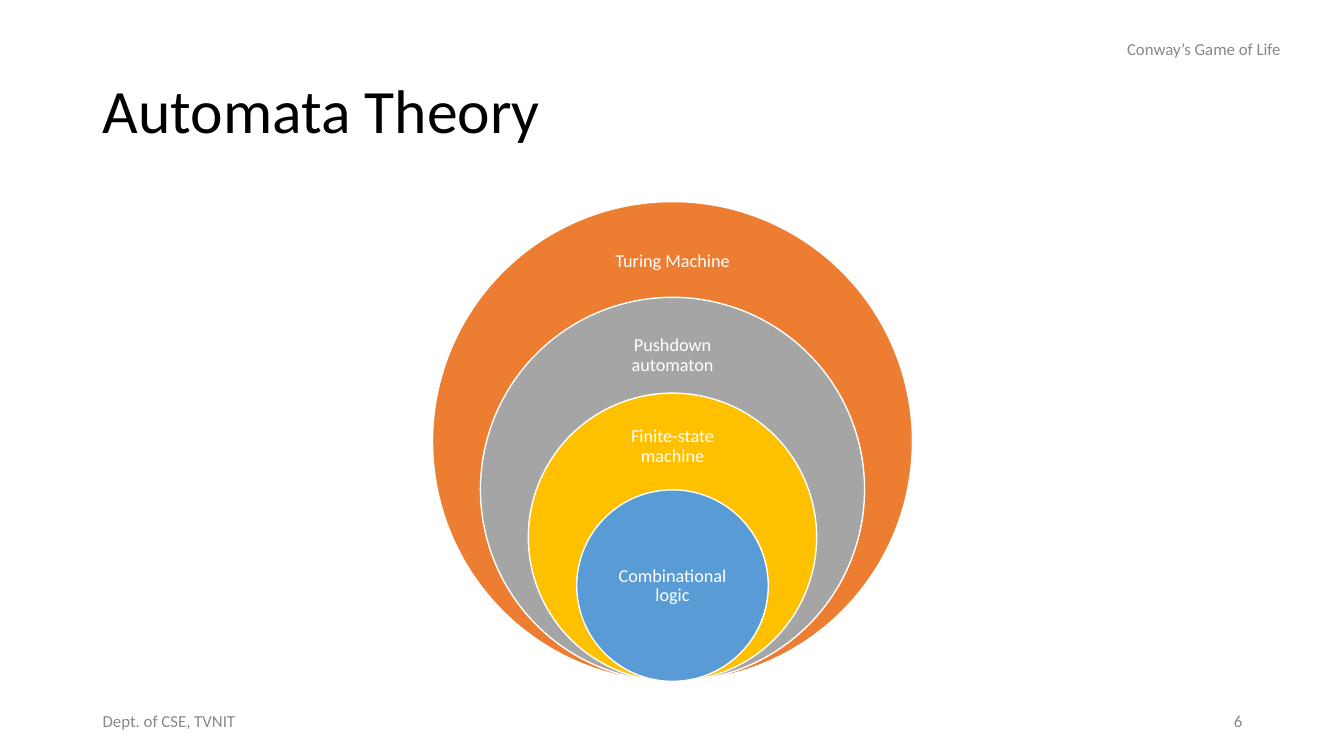
from dataclasses import dataclass
from typing import Any

from pptx import Presentation
from pptx import util as u
from pptx.dml.color import RGBColor
from pptx.enum import shapes, text

WIDTH, HEIGHT = 1333, 750
CENTER = 667
OUTER_DIAMETER = 476
BASELINE = 676
LABEL_WIDTH = 133
WHITE, BLACK, GREY = "FFFFFF", "000000", "888888"
LEFT, MIDDLE, RIGHT = text.PP_ALIGN.LEFT, text.PP_ALIGN.CENTER, text.PP_ALIGN.RIGHT

RINGS = [
    ("Turing Machine", "ED7D31", 5, 0.05, 0.15),
    ("Pushdown automaton", "A5A5A5", 4, 0.06, 0.18),
    ("Finite-state machine", "FFC000", 3, 0.07, 0.23),
    ("Combinational logic", "599BD5", 2, 0.25, 0.5),
]


def px(length):
    return u.Inches(length / 100)


def color(value):
    return RGBColor.from_string(value)


@dataclass
class SlideBuilder:
    slide: Any
    font: str = "Calibri"

    def set_text(self, shape, words, size, ink, align=LEFT, spacing=1.0, inset=5):
        frame = shape.text_frame
        frame.word_wrap = True
        frame.auto_size = text.MSO_AUTO_SIZE.NONE
        frame.vertical_anchor = text.MSO_ANCHOR.MIDDLE
        frame.margin_left = frame.margin_right = px(10)
        frame.margin_top = frame.margin_bottom = px(inset)
        paragraph = frame.paragraphs[0]
        paragraph.alignment = align
        paragraph.line_spacing = spacing
        run = paragraph.add_run()
        run.text = words
        run.font.name = self.font
        run.font.size = u.Pt(size)
        run.font.color.rgb = color(ink)

    def title(self, words, left, top, width, height):
        shape = self.slide.shapes.title
        shape.left, shape.top = px(left), px(top)
        shape.width, shape.height = px(width), px(height)
        self.set_text(shape, words, 44, BLACK, spacing=0.9)

    def caption(self, words, left, top, width, align=LEFT):
        box = self.slide.shapes.add_textbox(px(left), px(top), px(width), px(40))
        self.set_text(box, words, 12, GREY, align)

    def ring(self, group, words, fill, diameter, label_offset, label_height):
        top = BASELINE - diameter
        circle = group.shapes.add_shape(
            shapes.MSO_SHAPE.OVAL, px(CENTER - diameter / 2), px(top), px(diameter), px(diameter))
        circle.shadow.inherit = False
        circle.fill.solid()
        circle.fill.fore_color.rgb = color(fill)
        circle.line.color.rgb = color(WHITE)
        circle.line.width = u.Pt(1)
        label = group.shapes.add_textbox(
            px(CENTER - LABEL_WIDTH / 2), px(top + round(diameter * label_offset)),
            px(LABEL_WIDTH), px(round(diameter * label_height)))
        self.set_text(label, words, 13, WHITE, MIDDLE, 0.9, 10)


def main():
    presentation = Presentation()
    presentation.slide_width, presentation.slide_height = px(WIDTH), px(HEIGHT)
    slide = presentation.slides.add_slide(presentation.slide_layouts[5])
    builder = SlideBuilder(slide)

    builder.title("Automata Theory", 92, 40, 1150, 145)
    builder.caption("Dept. of CSE, TVNIT", 92, 695, 300)
    builder.caption("6", 942, 695, 300, RIGHT)

    group = slide.shapes.add_group_shape()
    for words, fill, units, label_offset, label_height in RINGS:
        diameter = round(OUTER_DIAMETER * units / 5)
        builder.ring(group, words, fill, diameter, label_offset, label_height)

    builder.caption("Conway’s Game of Life", 1108, 28, 176)
    presentation.save("out.pptx")


if __name__ == "__main__":
    main()
